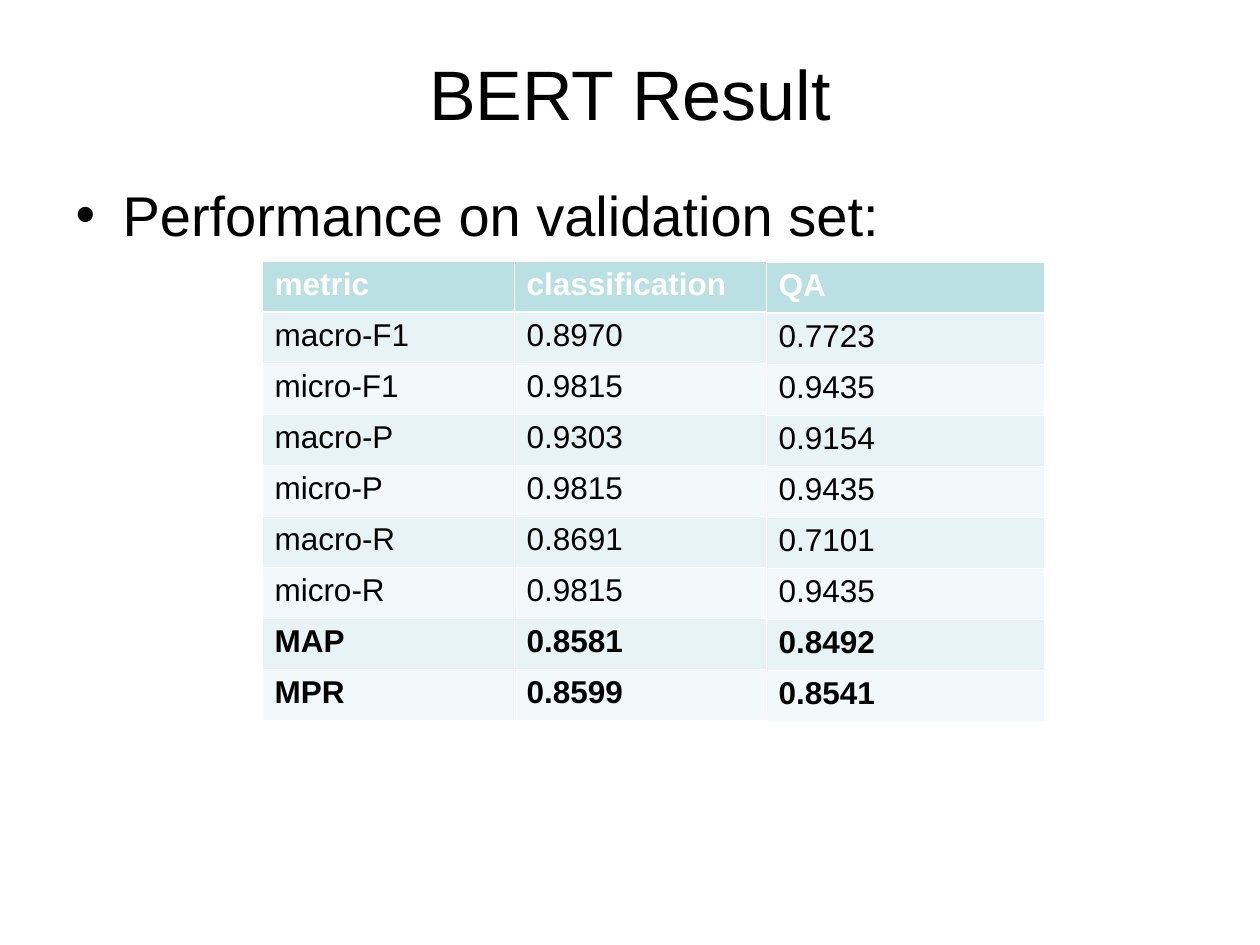
from lxml.etree import SubElement
from pptx import Presentation
from pptx.dml.color import RGBColor
from pptx.enum.text import MSO_ANCHOR as Anchor, MSO_AUTO_SIZE as AutoSize, PP_ALIGN as Align
from pptx.oxml.ns import qn
from pptx.util import Pt

EMU_PER_PX = 914400 / 126
FONT = "Arial"
BLACK = RGBColor(0x00, 0x00, 0x00)
WHITE = RGBColor(0xFF, 0xFF, 0xFF)
HEADER_TEAL = RGBColor(0xBB, 0xE0, 0xE3)
BANDS = (RGBColor(0xE7, 0xF3, 0xF4), RGBColor(0xF3, 0xF9, 0xFA))

ROW_HEIGHT = 51
BOLD_METRICS = 2  # the closing rows, MAP and MPR
THIN, THICK = Pt(0.45), Pt(1.47)

MAIN_ROWS = [
    ("metric", "classification"),
    ("macro-F1", "0.8970"),
    ("micro-F1", "0.9815"),
    ("macro-P", "0.9303"),
    ("micro-P", "0.9815"),
    ("macro-R", "0.8691"),
    ("micro-R", "0.9815"),
    ("MAP", "0.8581"),
    ("MPR", "0.8599"),
]
QA_ROWS = [(text,) for text in (
    "QA", "0.7723", "0.9435", "0.9154", "0.9435", "0.7101", "0.9435", "0.8492", "0.8541")]


def px(length):
    return round(length * EMU_PER_PX)


def set_values(target, values):
    for name, value in values.items():
        setattr(target, name, value)


def style_font(font, size, color, bold=False):
    set_values(font, {"name": FONT, "size": Pt(size), "bold": bold})
    font.color.rgb = color


def fill_placeholder(box, text, bounds, size, anchor, align, top_inset=6):
    """Move a placeholder, write its only paragraph and return it."""
    set_values(box, dict(zip(("left", "top", "width", "height"), map(px, bounds))))
    set_values(box.text_frame, {
        "text": text, "word_wrap": True, "auto_size": AutoSize.NONE,
        "vertical_anchor": anchor, "margin_top": px(top_inset)})
    para = box.text_frame.paragraphs[0]
    set_values(para, {"alignment": align, "space_before": Pt(0)})
    style_font(para.runs[0].font, size, BLACK)
    return para


def add_bullet(para, indent):
    props = para._p.get_or_add_pPr()
    props.set("marL", str(px(indent)))
    props.set("indent", str(-px(indent)))
    SubElement(props, qn("a:buFont"), typeface=FONT)
    SubElement(props, qn("a:buChar"), char="•")


def set_borders(cell, row):
    """Draw white cell edges, thicker between the header and the values."""
    widths = {
        "a:lnL": THIN, "a:lnR": THIN,
        "a:lnT": THICK if row == 1 else THIN,
        "a:lnB": THICK if row == 0 else THIN}
    props = cell._tc.get_or_add_tcPr()
    for tag, width in widths.items():
        line = SubElement(props, qn(tag), w=str(width))
        SubElement(SubElement(line, qn("a:solidFill")), qn("a:srgbClr"), val=str(WHITE))


def add_score_table(page, rows, left, top, column_width):
    columns = len(rows[0])
    frame = page.shapes.add_table(
        len(rows), columns, px(left), px(top),
        px(column_width * columns), px(ROW_HEIGHT * len(rows)))
    table = frame.table
    for column in table.columns:
        column.width = px(column_width)
    for row, texts in enumerate(rows):
        table.rows[row].height = px(ROW_HEIGHT)
        is_header = row == 0
        bold = is_header or row >= len(rows) - BOLD_METRICS
        for column, text in enumerate(texts):
            cell = table.cell(row, column)
            cell.text = text
            style_font(cell.text_frame.paragraphs[0].runs[0].font, 18,
                       WHITE if is_header else BLACK, bold)
            set_borders(cell, row)
            cell.fill.solid()
            cell.fill.fore_color.rgb = HEADER_TEAL if is_header else BANDS[(row - 1) % 2]


def main():
    deck = Presentation()
    set_values(deck, {"slide_width": px(1260), "slide_height": px(945)})
    page = deck.slides.add_slide(deck.slide_layouts[1])

    # Title and bullet
    fill_placeholder(page.shapes.title, "BERT Result", (63, 38, 1134, 110),
                     40, Anchor.MIDDLE, Align.CENTER)
    para = fill_placeholder(page.placeholders[1], "Performance on validation set:",
                            (63, 168, 1134, 609), 32, Anchor.TOP, Align.LEFT, top_inset=12)
    add_bullet(para, 47)

    # Scores: metric and classification, then QA beside them
    add_score_table(page, MAIN_ROWS, 262, 261, 252)
    add_score_table(page, QA_ROWS, 766, 262, 278)

    deck.save("out.pptx")


if __name__ == "__main__":
    main()
